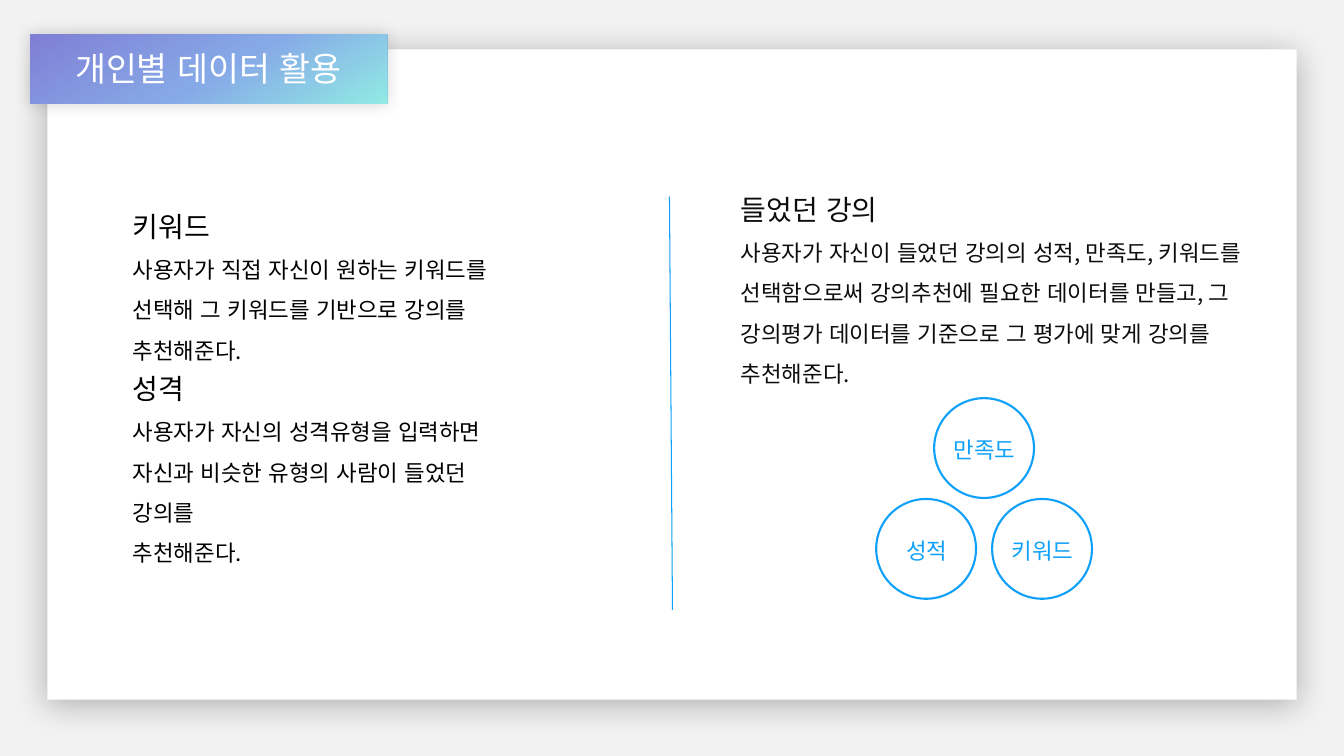
from copy import deepcopy
from dataclasses import dataclass

from lxml.etree import SubElement
from pptx import Presentation
from pptx.dml.color import RGBColor
from pptx.enum.lang import MSO_LANGUAGE_ID as Language
from pptx.enum.shapes import MSO_CONNECTOR as Connector, MSO_SHAPE as Shape
from pptx.enum.text import MSO_ANCHOR as Anchor, MSO_AUTO_SIZE as AutoSize, PP_ALIGN as Align
from pptx.oxml.ns import qn
from pptx.util import Inches, Pt


@dataclass(frozen=True)
class Theme:
    font: str = "Noto Sans CJK KR"
    backdrop: str = "F2F2F2"
    card: str = "FFFFFF"
    ink: str = "000000"
    soft_ink: str = "0D0D0D"
    accent: str = "0FA0F9"
    gradient: tuple = ((0, "7F7FD5"), (0.52, "86A8E7"), (1, "91EAE4"))
    title_size: int = 24
    heading_size: int = 20
    body_size: int = 16


THEME = Theme()


def rgb(value):
    return RGBColor.from_string(value)


def inches(box):
    return [Inches(length) for length in box]


def add_run(paragraph, text, size, color):
    run = paragraph.add_run()
    run.text = text
    font = run.font
    font.size = Pt(size)
    font.color.rgb = rgb(color)
    font.name = THEME.font
    font.language_id = Language.KOREAN
    SubElement(run._r.get_or_add_rPr(), qn("a:ea"), typeface=THEME.font)


def set_frame(shape):
    """Make the text wrap, start at the top and set the height of its shape."""
    frame = shape.text_frame
    frame.word_wrap = True
    frame.auto_size = AutoSize.SHAPE_TO_FIT_TEXT
    frame.vertical_anchor = Anchor.TOP
    return frame


def add_centered_line(shape, text, size, color):
    paragraph = set_frame(shape).paragraphs[0]
    paragraph.alignment = Align.CENTER
    paragraph.line_spacing = 1.0
    add_run(paragraph, text, size, color)


def add_shadow(shape, opacity, blur, distance, angle):
    shape.shadow.inherit = False
    effects = shape.element.spPr.find(qn("a:effectLst"))
    shadow = SubElement(effects, qn("a:outerShdw"), blurRad=str(Pt(blur)),
                        dist=str(Pt(distance)), dir=str(angle * 60000),
                        algn="ctr", rotWithShape="0")
    color = SubElement(shadow, qn("a:srgbClr"), val="000000")
    SubElement(color, qn("a:alpha"), val=str(opacity * 1000))


def add_card(slide, box):
    card = slide.shapes.add_shape(Shape.RECTANGLE, *inches(box))
    card.fill.solid()
    card.fill.fore_color.rgb = rgb(THEME.card)
    card.line.fill.background()
    add_shadow(card, opacity=28, blur=24, distance=4, angle=90)


def add_title_tab(slide, box, text):
    """Draw the gradient tab and lay the slide title over it."""
    left, top, width, height = box
    tab = slide.shapes.add_shape(Shape.RECTANGLE, *inches(box))
    tab.line.fill.background()
    tab.fill.gradient()
    tab.fill.gradient_angle = 300
    stops = tab.element.spPr.find(".//" + qn("a:gsLst"))
    stops.append(deepcopy(stops[-1]))
    for stop, (position, color) in zip(tab.fill.gradient_stops, THEME.gradient):
        stop.position = position
        stop.color.rgb = rgb(color)
    add_shadow(tab, opacity=17, blur=11, distance=0, angle=0)

    title = slide.shapes.title
    title.left, title.top, title.width, title.height = inches(
        (left + 0.32, top + 0.09, width - 0.65, 0.5))
    add_centered_line(title, text, THEME.title_size, THEME.card)
    tab.element.addnext(title.element)


def add_topic(slide, box, heading, sentences, color):
    frame = set_frame(slide.shapes.add_textbox(*inches(box)))
    lines = [(heading, THEME.heading_size)]
    lines += [(sentence, THEME.body_size) for sentence in sentences]
    for index, (text, size) in enumerate(lines):
        paragraph = frame.add_paragraph() if index else frame.paragraphs[0]
        paragraph.line_spacing = 1.5
        add_run(paragraph, text, size, color)


def add_divider(slide, start, end):
    divider = slide.shapes.add_connector(Connector.STRAIGHT, *inches(start + end))
    divider.line.color.rgb = rgb(THEME.accent)
    divider.line.width = Pt(0.75)
    SubElement(divider.element.spPr, qn("a:effectLst"))


def add_circle_triangle(slide, box, top_label, bottom_labels):
    """Stack one circle centred above two that touch the sides of the box."""
    left, top, width, height = box
    diameter = 0.99
    step = width - diameter
    low = top + height - diameter
    places = [(left + step / 2, top, top_label)]
    places += [(left + index * step, low, label)
               for index, label in enumerate(bottom_labels)]
    group = slide.shapes.add_group_shape()
    for x, y, label in places:
        circle = group.shapes.add_shape(Shape.OVAL, *inches((x, y, diameter, diameter)))
        circle.fill.background()
        circle.line.color.rgb = rgb(THEME.accent)
        circle.line.width = Pt(1.5)
        circle.shadow.inherit = False
        caption = group.shapes.add_textbox(*inches((x + 0.08, y + 0.33, 0.84, 0.34)))
        add_centered_line(caption, label, THEME.body_size, THEME.accent)


def build_data_slide(presentation):
    slide = presentation.slides.add_slide(presentation.slide_layouts.get_by_name("Title Only"))
    slide.background.fill.solid()
    slide.background.fill.fore_color.rgb = rgb(THEME.backdrop)
    add_card(slide, (0.47, 0.49, 12.39, 6.45))
    add_topic(slide, (1.22, 1.86, 4.12, 1.37), "키워드",
              ["사용자가 직접 자신이 원하는 키워드를 선택해 그 키워드를 기반으로 강의를 추천해준다."],
              THEME.ink)
    add_topic(slide, (7.25, 1.69, 5.18, 2.59), "들었던 강의",
              ["사용자가 자신이 들었던 강의의 성적, 만족도, 키워드를 선택함으로써 강의추천에 필요한 "
               "데이터를 만들고, 그 강의평가 데이터를 기준으로 그 평가에 맞게 강의를",
               "추천해준다."],
              THEME.soft_ink)
    add_divider(slide, (6.67, 6.05), (6.64, 1.95))
    add_topic(slide, (1.22, 3.47, 4.12, 1.78), "성격",
              ["사용자가 자신의 성격유형을 입력하면 자신과 비슷한 유형의 사람이 들었던 강의를",
               "추천해준다."],
              THEME.ink)
    add_circle_triangle(slide, (8.69, 3.95, 2.14, 1.99), "만족도", ["성적", "키워드"])
    add_title_tab(slide, (0.3, 0.34, 3.54, 0.69), "개인별 데이터 활용")


def main():
    presentation = Presentation()
    presentation.slide_width = Inches(13.33)
    presentation.slide_height = Inches(7.5)
    build_data_slide(presentation)
    presentation.save("out.pptx")


if __name__ == "__main__":
    main()
